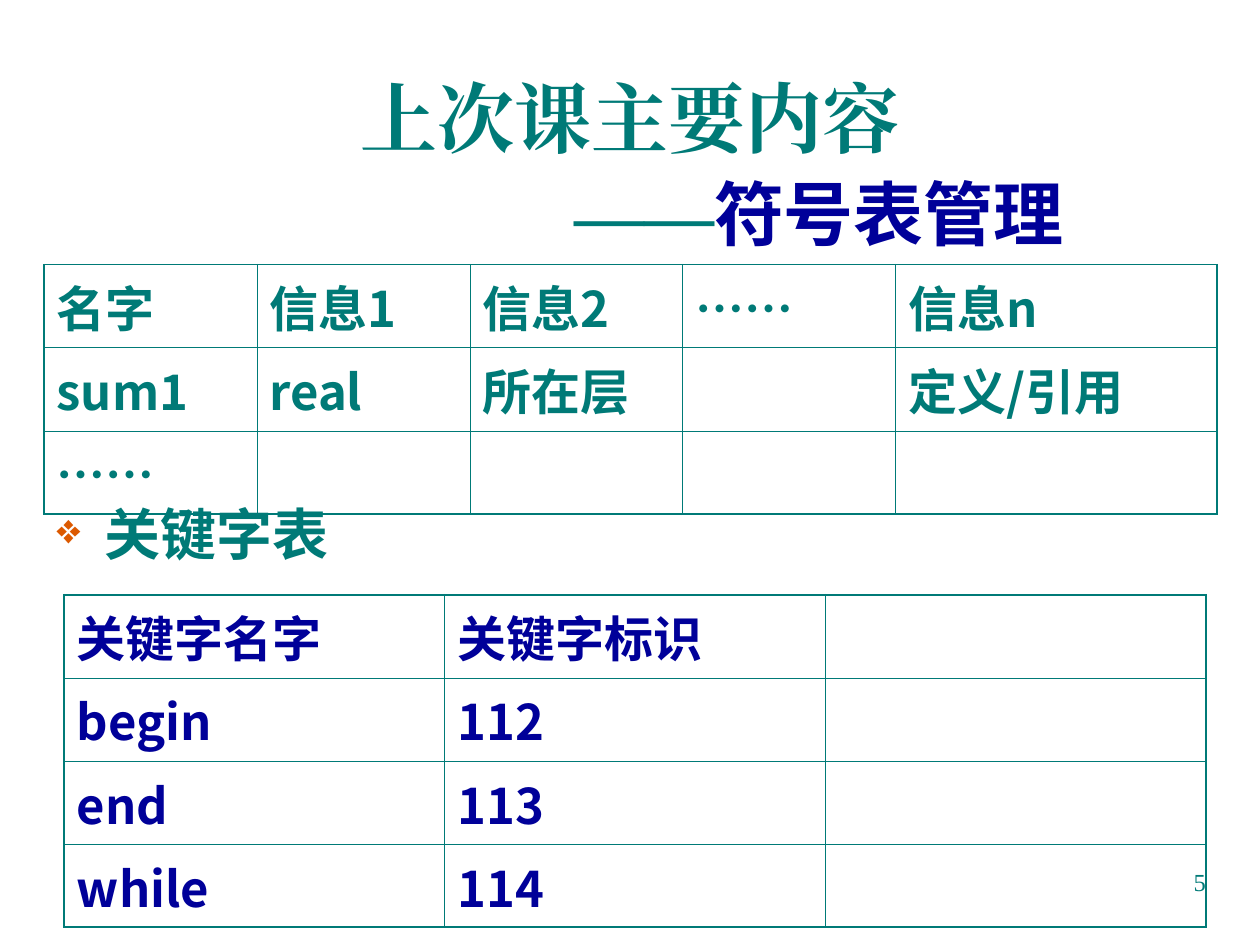
from dataclasses import dataclass

from lxml import etree
from pptx import Presentation
from pptx import util as u
from pptx.dml.color import RGBColor
from pptx.enum import text as t
from pptx.oxml import ns

TEAL, NAVY, RUST = "007A77", "000099", "DC5900"
SANS, SERIF = "Noto Sans CJK JP", "Times New Roman"
THIN, THICK = 0.45, 1.08


@dataclass
class Grid:
    left: float
    top: float
    cols: list[float]
    row: float
    ink: str
    rows: list[list[str]]


def color(code: str) -> RGBColor:
    return RGBColor.from_string(code)


def sub(parent, tag: str, **attrs):
    return etree.SubElement(parent, ns.qn(tag), attrs)


def style(run, size: float, ink: str, face: str = SANS, bold: bool = True) -> None:
    font = run.font
    font.size, font.bold, font.name = u.Pt(size), bold, face
    font.color.rgb = color(ink)
    sub(font._element, "a:ea", typeface=face)


def add_box(slide, left: float, top: float, width: float, height: float):
    box = slide.shapes.add_textbox(*map(u.Inches, (left, top, width, height)))
    frame = box.text_frame
    frame.word_wrap = True
    return frame


def edge(cell, side: str, width: float) -> None:
    line = sub(cell._tc.get_or_add_tcPr(), f"a:ln{side}", w=str(u.Pt(width)))
    sub(sub(line, "a:solidFill"), "a:srgbClr", val=TEAL)


def add_grid(slide, grid: Grid) -> None:
    high, wide = len(grid.rows), len(grid.cols)
    size = (grid.left, grid.top, sum(grid.cols), grid.row * high)
    table = slide.shapes.add_table(high, wide, *map(u.Inches, size)).table
    table.first_row = table.horz_banding = False
    for col, width in zip(table.columns, grid.cols):
        col.width = u.Inches(width)
    for r, words in enumerate(grid.rows):
        table.rows[r].height = u.Inches(grid.row)
        for c, word in enumerate(words):
            cell = table.cell(r, c)
            # Thick lines around the table, thin lines inside
            outer = {"L": c == 0, "R": c == wide - 1, "T": r == 0, "B": r == high - 1}
            for side, rim in outer.items():
                edge(cell, side, THICK if rim else THIN)
            cell.fill.background()
            if word:
                cell.text_frame.text = word
                style(cell.text_frame.paragraphs[0].runs[0], 28, grid.ink)


KEYS = Grid(0.51, 4.72, [3.02] * 3, 0.66, NAVY, [
    ["关键字名字", "关键字标识", ""],
    ["begin", "112", ""],
    ["end", "113", ""],
    ["while", "114", ""],
])
NAMES = Grid(0.35, 2.1, [1.69] * 4 + [2.55], 0.66, TEAL, [
    ["名字", "信息1", "信息2", "……", "信息n"],
    ["sum1", "real", "所在层", "", "定义/引用"],
    ["……", "", "", "", ""],
])


def add_title(slide) -> None:
    frame = add_box(slide, 0.33, 0.67, 9.34, 1.25)
    frame.vertical_anchor = t.MSO_ANCHOR.MIDDLE
    para = frame.paragraphs[0]
    para.text = "上次课主要内容\v\t\t\t"
    para.alignment = t.PP_ALIGN.CENTER
    tabs = sub(para._p.get_or_add_pPr(), "a:tabLst")
    for inch in range(8):
        sub(tabs, "a:tab", pos=str(u.Inches(inch)), algn="l")
    for run in para.runs:
        style(run, 44, TEAL, SERIF)
    for words, ink, face in (("——", TEAL, SERIF), ("符号表管理", NAVY, SANS)):
        run = para.add_run()
        run.text = words
        style(run, 40, ink, face)


def add_head(slide) -> None:
    para = add_box(slide, 0.35, 3.99, 2.99, 0.72).paragraphs[0]
    para.text = "关键字表"
    para.line_spacing = 0.86
    props = para._p.get_or_add_pPr()
    props.set("marL", str(u.Inches(0.38)))
    props.set("indent", str(u.Inches(-0.38)))
    sub(sub(props, "a:buClr"), "a:srgbClr", val=RUST)
    sub(props, "a:buSzPct", val="75000")
    sub(props, "a:buChar", char="❖")
    style(para.runs[0], 32, TEAL)


def add_number(slide) -> None:
    para = add_box(slide, 7.17, 6.83, 2.5, 0.52).paragraphs[0]
    para.text = "5"
    para.alignment = t.PP_ALIGN.RIGHT
    style(para.runs[0], 14, TEAL, SERIF, False)


def main() -> None:
    deck = Presentation()
    deck.slide_width, deck.slide_height = u.Inches(10), u.Inches(7.5)
    slide = deck.slides.add_slide(deck.slide_layouts[6])
    add_title(slide)
    add_head(slide)
    # Keyword table, then symbol table
    for grid in (KEYS, NAMES):
        add_grid(slide, grid)
    add_number(slide)
    deck.save("out.pptx")


if __name__ == "__main__":
    main()
